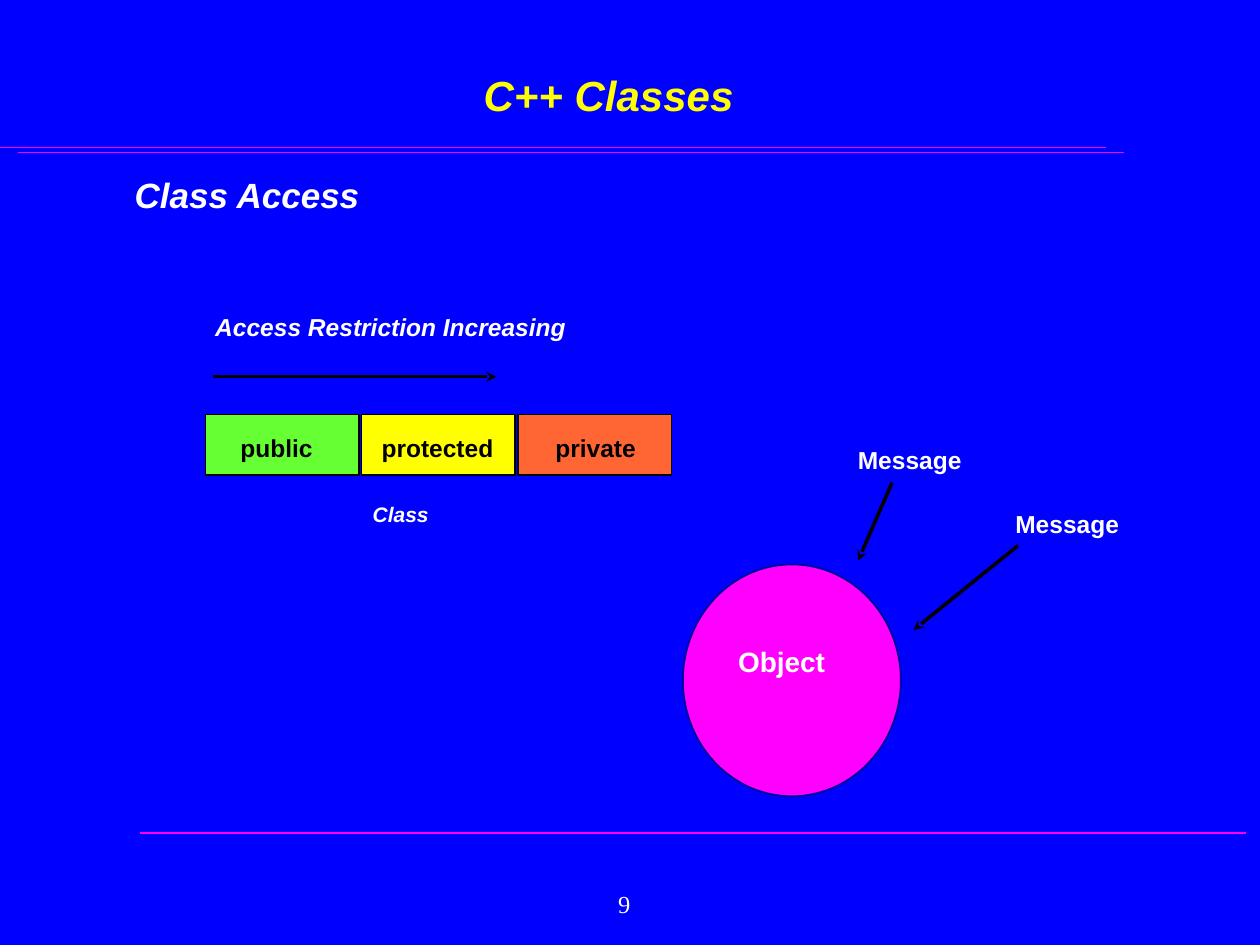
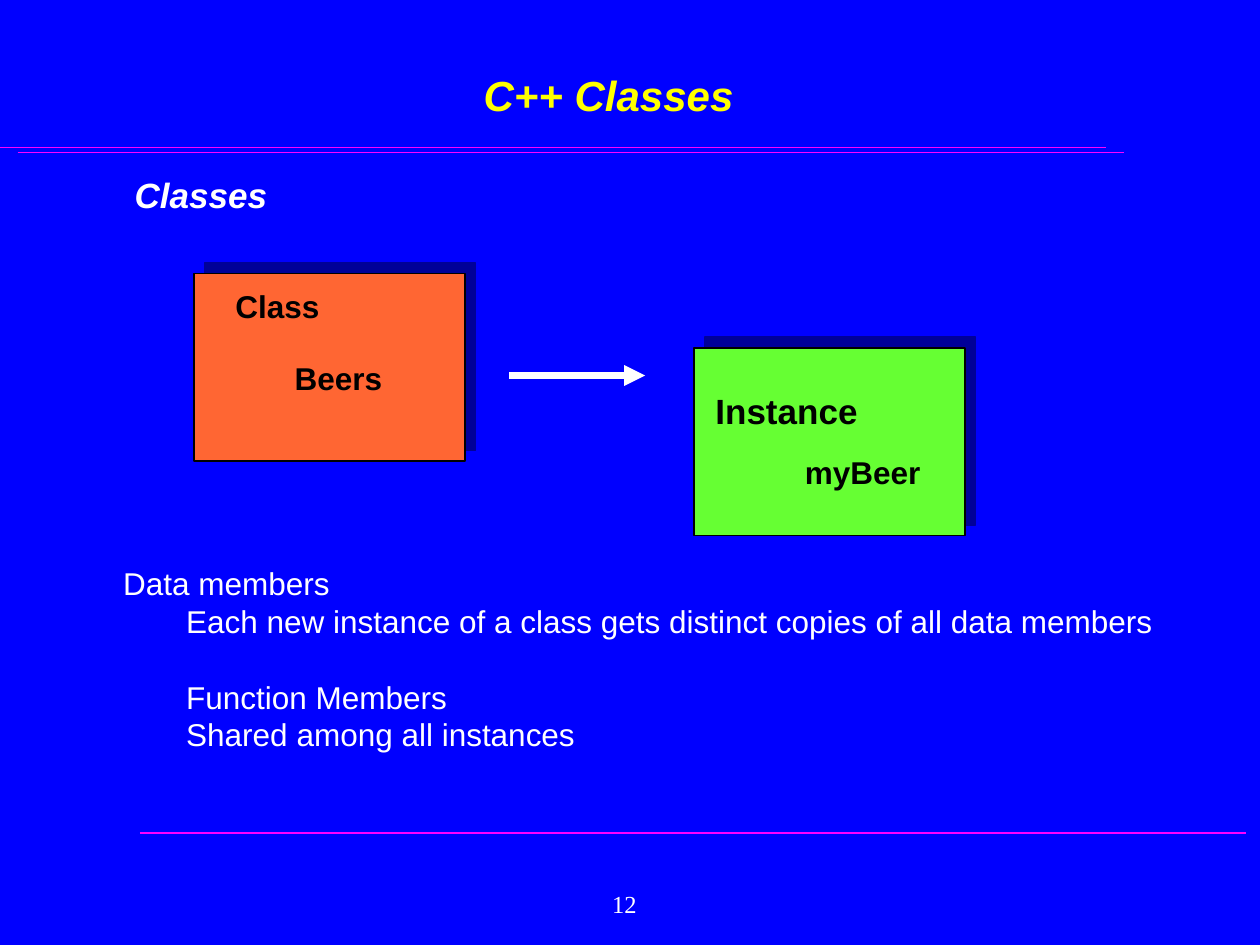
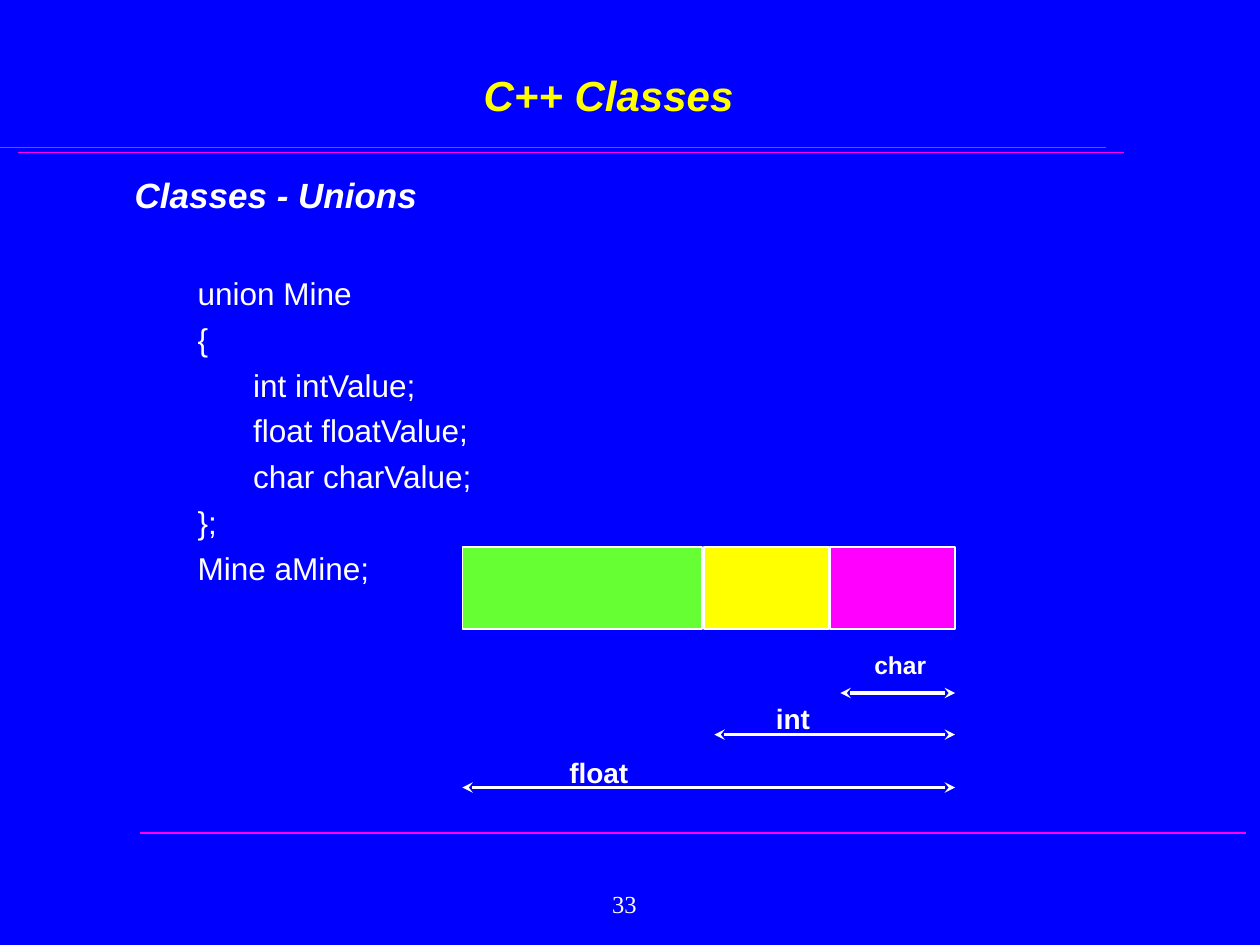
from lxml import etree
from pptx import Presentation
from pptx.dml.color import RGBColor
from pptx.enum.shapes import MSO_CONNECTOR, MSO_SHAPE
from pptx.enum.text import MSO_ANCHOR, MSO_AUTO_SIZE, PP_ALIGN
from pptx.oxml.ns import qn
from pptx.util import Inches, Pt

COLORS = {
    "background": "0000FF",
    "title": "FFFF00",
    "rule": "FF00FF",
    "white": "FFFFFF",
    "black": "000000",
    "green": "66FF33",
    "yellow": "FFFF00",
    "orange": "FF6633",
    "magenta": "FF00FF",
    "navy": "000099",
}

TITLE = {"size": 24, "color": "title", "bold": True, "italic": True}
HEADING = {"size": 20, "bold": True, "italic": True}
BODY = {"size": 18}
CAPTION = {"size": 14, "bold": True, "italic": True}
LABEL = {"size": 14, "bold": True}
BIG_LABEL = {"size": 16, "bold": True}
BOX_LABEL = {"size": 18, "bold": True, "color": "black"}
PAGE_NUMBER = {"size": 14, "name": "Times New Roman"}

RULES = [(0, 1.17), (0.14, 1.21), (1.11, 6.61)]
RULE_WIDTH = 8.78


def rgb(name):
    return RGBColor.from_string(COLORS[name])


def format_font(font, style):
    values = {"name": "Arial", "size": 18, "bold": False, "italic": False,
              "color": "white", **style}
    font.color.rgb = rgb(values.pop("color"))
    values["size"] = Pt(values["size"])
    for key, value in values.items():
        setattr(font, key, value)


def add_paragraph(tf, text, style, indent=0, before=0):
    """Fill the empty first paragraph, or append a new one."""
    p = tf.paragraphs[0] if not tf.text else tf.add_paragraph()
    if indent:
        p._p.get_or_add_pPr().set("marL", str(Inches(indent)))
    if before:
        p.space_before = Pt(before)
    r = p.add_run()
    r.text = text
    format_font(r.font, style)
    return p


def add_text(s, box, paragraphs, fill=None, fit=True, wrap=False):
    """Add a text box; each paragraph is (text, style[, indent[, before]])."""
    sp = s.shapes.add_textbox(*map(Inches, box))
    if fill:
        sp.fill.solid()
        sp.fill.fore_color.rgb = rgb(fill)
    tf = sp.text_frame
    tf.word_wrap = wrap
    tf.auto_size = MSO_AUTO_SIZE.SHAPE_TO_FIT_TEXT if fit else MSO_AUTO_SIZE.NONE
    for paragraph in paragraphs:
        add_paragraph(tf, *paragraph)
    return sp


def add_box(s, box, fill, line, kind=MSO_SHAPE.RECTANGLE):
    sp = s.shapes.add_shape(kind, *map(Inches, box))
    sp.shadow.inherit = False
    sp.fill.solid()
    sp.fill.fore_color.rgb = rgb(fill)
    sp.line.color.rgb = rgb(line)
    sp.line.width = Pt(1)
    return sp


def add_shadow(sp):
    """Cast a hard navy shadow up and to the right."""
    effects = sp._element.spPr.find(qn("a:effectLst"))
    shadow = etree.SubElement(effects, qn("a:outerShdw"), dist=str(Pt(8.5)),
                              dir=str(315 * 60000), algn="ctr", rotWithShape="0")
    etree.SubElement(shadow, qn("a:srgbClr"), val=COLORS["navy"])


def add_line(s, start, end, color, width, head=None, tail=None):
    c = s.shapes.add_connector(MSO_CONNECTOR.STRAIGHT, *map(Inches, start + end))
    c.line.color.rgb = rgb(color)
    c.line.width = Pt(width)
    ln = c.line._get_or_add_ln()
    for tag, arrow in (("a:headEnd", head), ("a:tailEnd", tail)):
        if arrow:
            etree.SubElement(ln, qn(tag), type=arrow)
    etree.SubElement(c._element.spPr, qn("a:effectLst"))


def add_slide(prs, heading, number, body=()):
    """Start a slide with the shared title, rules, body text and page number."""
    s = prs.slides.add_slide(prs.slide_layouts[5])
    title = s.shapes.title
    title.left, title.top, title.width, title.height = map(
        Inches, (0.58, 0.33, 8.5, 0.67))
    title.text_frame.vertical_anchor = MSO_ANCHOR.BOTTOM
    add_paragraph(title.text_frame, "C++ Classes", TITLE).alignment = PP_ALIGN.CENTER
    for x, y in RULES:
        add_line(s, (x, y), (x + RULE_WIDTH, y), "rule", 1)
    add_text(s, (0.97, 1.33, 8.45, 5.08), [(heading, HEADING), *body],
             fit=False, wrap=True)
    sp = add_text(s, (4.58, 6.92, 0.75, 0.5), [(str(number), PAGE_NUMBER)],
                  fit=False, wrap=True)
    sp.text_frame.vertical_anchor = MSO_ANCHOR.MIDDLE
    sp.text_frame.paragraphs[0].alignment = PP_ALIGN.CENTER
    return s


def build_access(prs):
    s = add_slide(prs, "Class Access", 9)
    add_text(s, (1.61, 2.43, 2.99, 0.33), [("Access Restriction Increasing", CAPTION)])
    add_text(s, (2.86, 3.93, 0.65, 0.3), [("Class", {**CAPTION, "size": 12})])
    add_line(s, (1.69, 2.99), (3.94, 2.99), "black", 2, tail="stealth")

    levels = [("public", "green", 1.81, 0.78),
              ("protected", "yellow", 2.93, 1.09),
              ("private", "orange", 4.31, 0.84)]
    for i, (level, fill, x, width) in enumerate(levels):
        add_box(s, (1.63 + 1.24 * i, 3.29, 1.22, 0.48), fill, "black")
        add_text(s, (x, 3.39, width, 0.33), [(level, {**LABEL, "color": "black"})])

    add_box(s, (5.42, 4.48, 1.73, 1.84), "magenta", "navy", MSO_SHAPE.OVAL)
    add_text(s, (5.76, 5.07, 0.99, 0.37), [("Object", BIG_LABEL)], wrap=True)
    messages = [((6.71, 3.48), (7.08, 3.83), (6.81, 4.45)),
                ((7.96, 3.99), (8.08, 4.33), (7.25, 5))]
    for corner, start, end in messages:
        add_text(s, corner + (1.03, 0.33), [("Message", LABEL)])
        add_line(s, start, end, "black", 2, tail="stealth")


def build_instances(prs):
    s = add_slide(prs, "Classes", 12)
    cards = [
        ((1.54, 2.17), "orange", [("Class", BOX_LABEL, (1.77, 2.23, 0.87, 0.4)),
                                  ("Beers", BOX_LABEL, (2.24, 2.8, 0.9, 0.4))]),
        ((5.51, 2.76), "green", [("Instance", {**BOX_LABEL, "size": 20},
                                  (5.58, 3.04, 1.33, 0.43)),
                                 ("myBeer", BOX_LABEL, (6.29, 3.55, 1.12, 0.4))]),
    ]
    for corner, fill, labels in cards:
        add_shadow(add_box(s, corner + (2.15, 1.49), fill, "black"))
        for text, style, box in labels:
            add_text(s, box, [(text, style)], fill=fill)
    add_line(s, (4.04, 2.98), (5.12, 2.98), "white", 4, tail="triangle")
    add_text(s, (0.88, 4.43, 8.37, 1.9), [
        ("Data members", BODY),
        ("Each new instance of a class gets distinct copies of all data members",
         BODY, 0.5),
        ("Function Members", BODY, 0.5, 21.5),
        ("Shared among all instances", BODY, 0.5),
    ])


def build_unions(prs):
    outer, inner, gap = 0.5, 0.94, 4.5
    s = add_slide(prs, "Classes - Unions", 33, [
        ("union Mine", BODY, outer, 33.5),
        ("{", BODY, outer, gap),
        ("int intValue;", BODY, inner, gap),
        ("float floatValue;", BODY, inner, gap),
        ("char charValue;", BODY, inner, gap),
        ("};", BODY, outer, gap),
        ("Mine aMine;", BODY, outer, gap),
    ])
    for x, width, fill in [(3.67, 1.9, "green"), (5.59, 0.99, "yellow"),
                           (6.59, 0.99, "magenta")]:
        add_box(s, (x, 4.34, width, 0.65), fill, "white")
    extents = [("char", LABEL, (6.84, 5.11, 0.61, 0.33), 6.67, 5.5),
               ("int", BIG_LABEL, (6.06, 5.52, 0.47, 0.37), 5.67, 5.83),
               ("float", BIG_LABEL, (4.42, 5.95, 0.67, 0.37), 3.67, 6.25)]
    for text, style, box, x, y in extents:
        add_text(s, box, [(text, style)])
        add_line(s, (x, y), (7.58, y), "white", 2, head="stealth", tail="stealth")


def main():
    prs = Presentation()
    prs.slide_width, prs.slide_height = Inches(10), Inches(7.5)
    fill = prs.slide_master.background.fill
    fill.solid()
    fill.fore_color.rgb = rgb("background")
    for build in (build_access, build_instances, build_unions):
        build(prs)
    prs.save("out.pptx")


if __name__ == "__main__":
    main()
